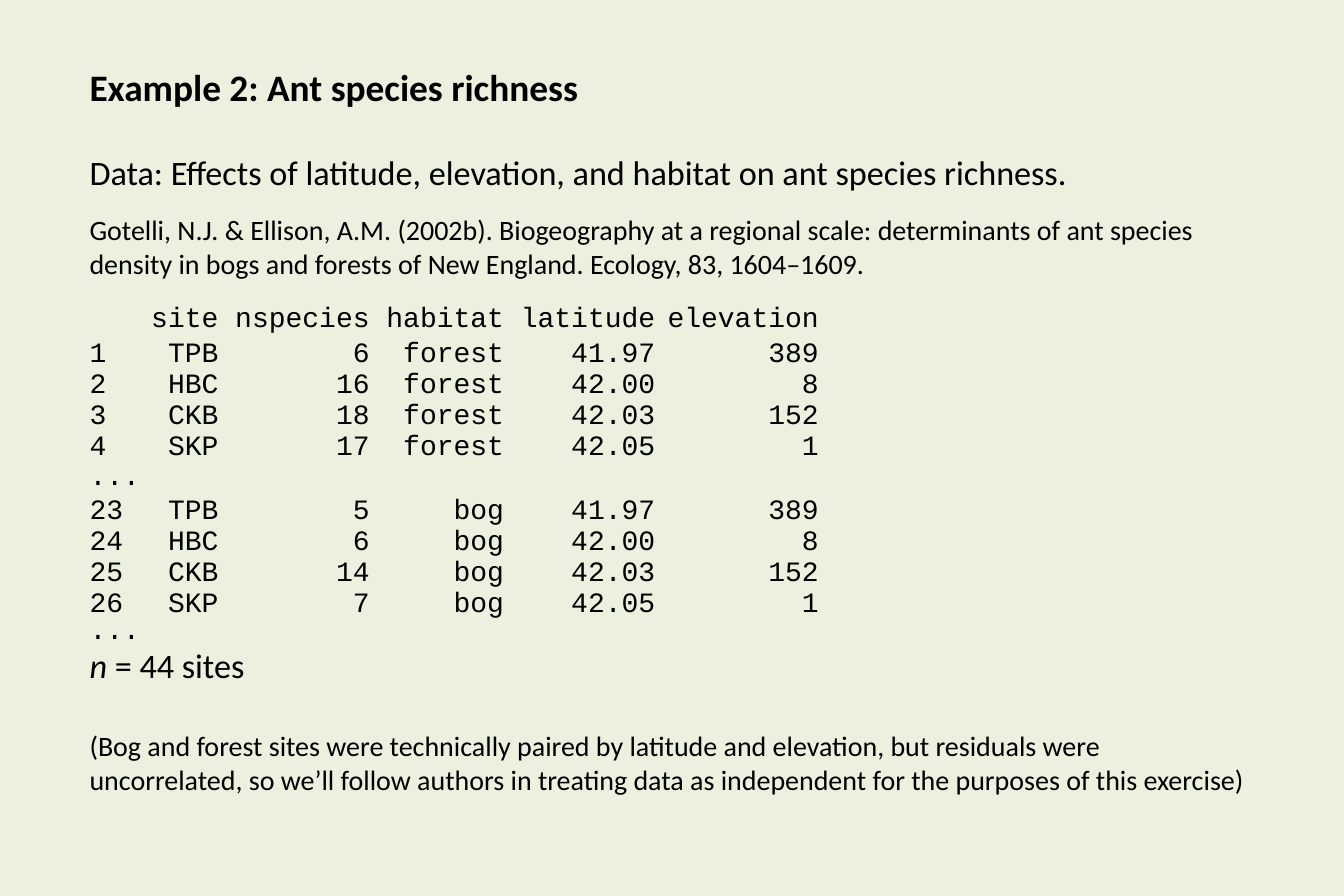
from pptx import Presentation
from pptx.dml.color import RGBColor
from pptx.enum.text import PP_ALIGN
from pptx.util import Inches, Pt

LEFT, RIGHT = PP_ALIGN.LEFT, PP_ALIGN.RIGHT
BACKGROUND = RGBColor(0xEB, 0xF1, 0xDE)
INK = RGBColor(0, 0, 0)
BODY_FONT, DATA_FONT = "Calibri", "Courier New"
NO_STYLE_NO_GRID = "{2D5ABB26-0587-4C30-8999-92F81FD0307C}"


def style(paragraph, size, font=BODY_FONT, line_spacing=None, space_before=0):
    paragraph.font.name = font
    paragraph.font.size = Pt(size)
    paragraph.font.color.rgb = INK
    paragraph.line_spacing = line_spacing
    paragraph.space_before = Pt(space_before)


def add_text_frame(top, height):
    """Add a text box without margins at the left edge of the content."""
    box = slide.shapes.add_textbox(Inches(0.8), Inches(top), Inches(10.6), Inches(height))
    frame = box.text_frame
    frame.word_wrap = True
    frame.margin_left = frame.margin_right = frame.margin_top = frame.margin_bottom = 0
    return frame


prs = Presentation()
prs.slide_width, prs.slide_height = Inches(12), Inches(8)
slide = prs.slides.add_slide(prs.slide_layouts[6])
slide.background.fill.solid()
slide.background.fill.fore_color.rgb = BACKGROUND

# Heading
heading = add_text_frame(0.57, 0.42).paragraphs[0]
heading.text = "Example 2: Ant species richness"
style(heading, 24)
heading.font.bold = True

# Data description and its reference
description = add_text_frame(1.35, 1.15)
topic = description.paragraphs[0]
topic.text = "Data: Effects of latitude, elevation, and habitat on ant species richness."
style(topic, 22)
reference = description.add_paragraph()
reference.text = (
    "Gotelli, N.J. & Ellison, A.M. (2002b). Biogeography at a regional scale: "
    "determinants of ant species\vdensity in bogs and forests of New England. "
    "Ecology, 83, 1604–1609."
)
style(reference, 18, line_spacing=1.01, space_before=12.7)

# Ant data
ANT_ROWS = [
    ("", "site", "nspecies", "habitat", "latitude", "elevation"),
    ("1", "TPB", "6", "forest", "41.97", "389"),
    ("2", "HBC", "16", "forest", "42.00", "8"),
    ("3", "CKB", "18", "forest", "42.03", "152"),
    ("4", "SKP", "17", "forest", "42.05", "1"),
    ("...", "", "", "", "", ""),
    ("23", "TPB", "5", "bog", "41.97", "389"),
    ("24", "HBC", "6", "bog", "42.00", "8"),
    ("25", "CKB", "14", "bog", "42.03", "152"),
    ("26", "SKP", "7", "bog", "42.05", "1"),
]
COLUMN_WIDTHS = [0.5, 0.68, 1.35, 1.2, 1.35, 1.46]

ant_frame = slide.shapes.add_table(
    len(ANT_ROWS), len(COLUMN_WIDTHS),
    Inches(0.77), Inches(2.76), Inches(sum(COLUMN_WIDTHS)), Inches(2.73),
)
ant_table = ant_frame.table
ant_table.first_row = ant_table.horz_banding = False
ant_table._tbl.tblPr.find("{*}tableStyleId").text = NO_STYLE_NO_GRID
for column, width in zip(ant_table.columns, COLUMN_WIDTHS):
    column.width = Inches(width)

for row_index, values in enumerate(ANT_ROWS):
    is_header = row_index == 0
    is_last = row_index == len(ANT_ROWS) - 1
    ant_table.rows[row_index].height = Inches(0.26 if is_header or is_last else 2.21 / 8)
    for column_index, value in enumerate(values):
        is_row_number = column_index == 0
        cell = ant_table.cell(row_index, column_index)
        cell.fill.background()
        cell.margin_left = Inches(0.03 if is_row_number else 0)
        cell.margin_right = cell.margin_top = cell.margin_bottom = 0
        entry = cell.text_frame.paragraphs[0]
        entry.text = value
        entry.alignment = LEFT if is_row_number else RIGHT
        style(entry, 18, DATA_FONT, line_spacing=Pt(17.1 if is_header else 18))

# Sample size and remark on pairing
remarks = add_text_frame(5.46, 1.66)
ellipsis = remarks.paragraphs[0]
ellipsis.text = "..."
style(ellipsis, 18, DATA_FONT, line_spacing=Pt(21.4))

sample_size = remarks.add_paragraph()
symbol = sample_size.add_run()
symbol.text = "n"
symbol.font.italic = True
sample_size.add_run().text = " = 44 sites"
style(sample_size, 22, line_spacing=Pt(26.2))

pairing = remarks.add_paragraph()
pairing.text = (
    "(Bog and forest sites were technically paired by latitude and elevation, "
    "but residuals were\vuncorrelated, so we’ll follow authors in treating data "
    "as independent for the purposes of this exercise)"
)
style(pairing, 18, line_spacing=1.02, space_before=27)

prs.save("out.pptx")
